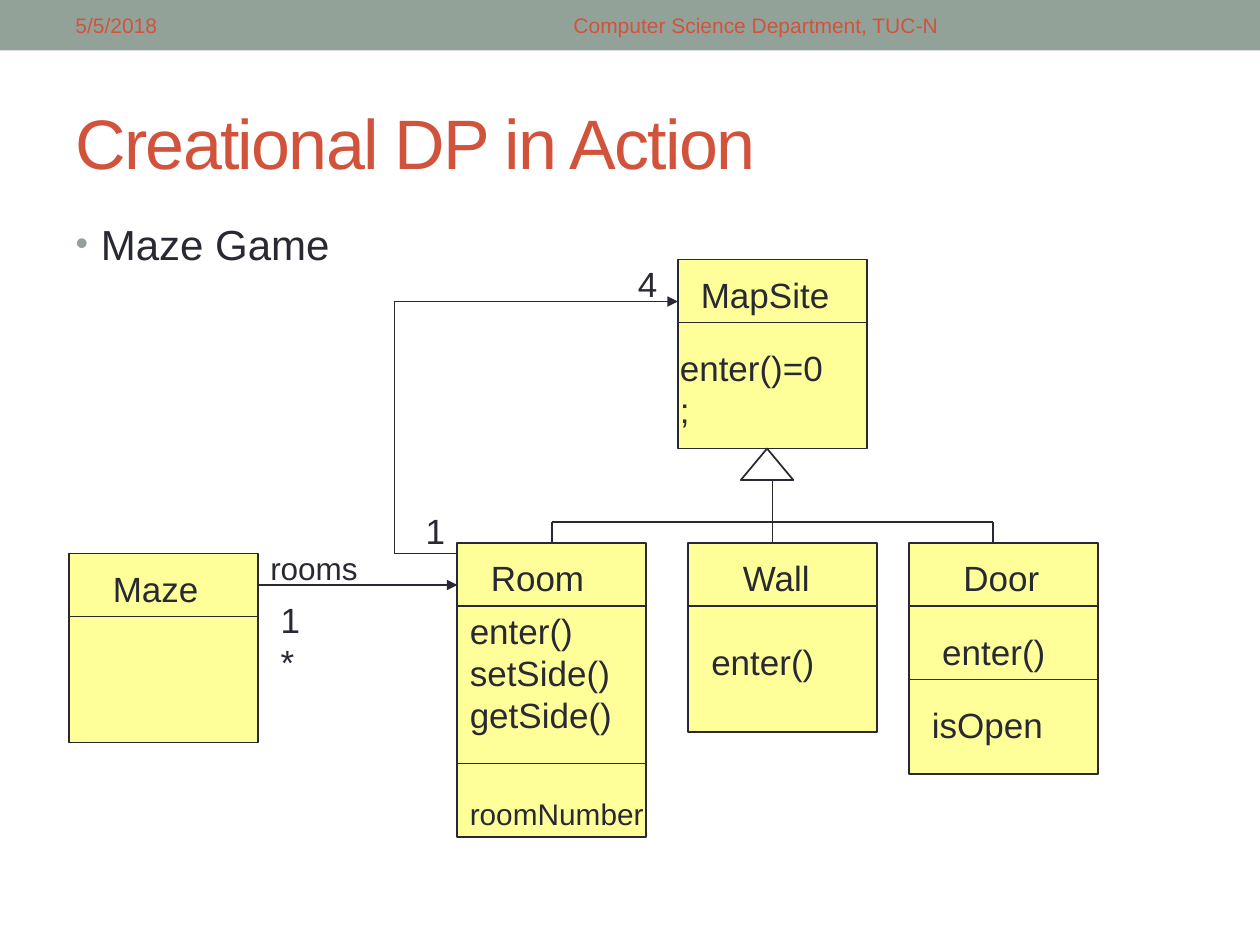
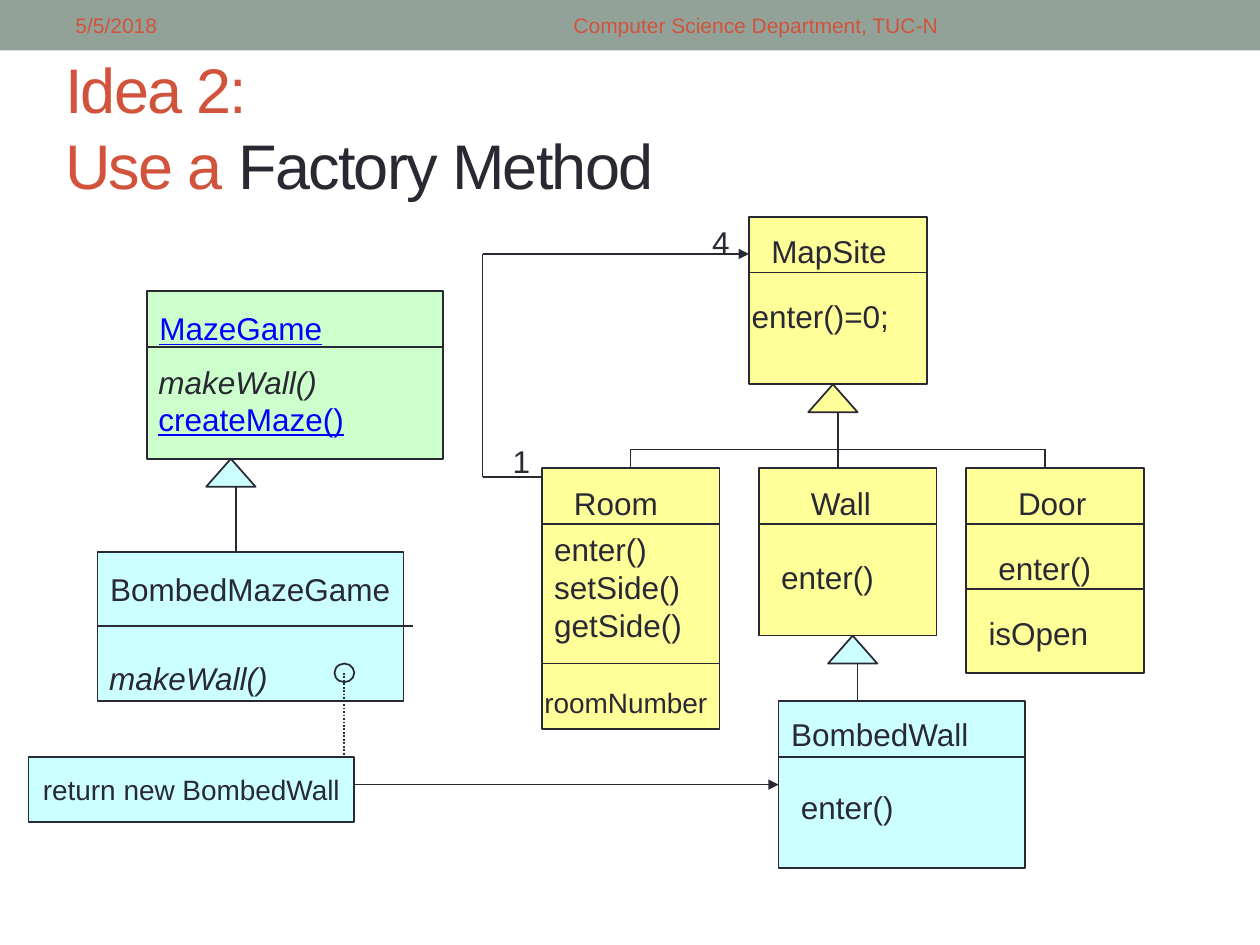
from dataclasses import dataclass

import lxml.etree
import pptx
import pptx.dml.color
import pptx.enum.dml
import pptx.enum.shapes
import pptx.enum.text
import pptx.oxml.ns
import pptx.util

SHAPE = pptx.enum.shapes.MSO_SHAPE
ALIGN = pptx.enum.text.PP_ALIGN
MIDDLE = pptx.enum.text.MSO_ANCHOR.MIDDLE
DOTTED = pptx.enum.dml.MSO_LINE.ROUND_DOT


@dataclass(frozen=True)
class Theme:
    """Colours and type sizes of the deck."""
    font: str = "Arial"
    band: str = "93A299"
    accent: str = "D2533C"
    ink: str = "292934"
    link: str = "0000FF"
    yellow: str = "FFFF99"
    green: str = "CCFFCC"
    cyan: str = "CCFFFF"
    footer: int = 12
    body: int = 24


@dataclass(frozen=True)
class Grid:
    """Columns and rows, in inches, counted from one corner of a region."""
    left: float
    top: float
    col: float
    row: float

    def at(self, col, row):
        """Return the position of a grid point."""
        return (pptx.util.Inches(self.left + col * self.col),
                pptx.util.Inches(self.top + row * self.row))

    def box(self, col, row, cols, rows):
        """Return left, top, width and height of a grid area."""
        return (*self.at(col, row), pptx.util.Inches(cols * self.col),
                pptx.util.Inches(rows * self.row))


THEME = Theme()
PAGE = Grid(0, 0, 10 / 120, 7.5 / 90)


def rgb(value):
    """Return a colour object for a hex value."""
    return pptx.dml.color.RGBColor.from_string(value)


def sub(parent, tag, **attrs):
    """Append an XML child with the given attributes."""
    return lxml.etree.SubElement(parent, pptx.oxml.ns.qn(tag), attrs)


def add_run(p, text, size, color=THEME.ink, italic=None, underline=None):
    """Add one formatted run to a paragraph."""
    r = p.add_run()
    r.text = text
    f = r.font
    f.name, f.size, f.italic, f.underline = THEME.font, pptx.util.Pt(size), italic, underline
    f.color.rgb = rgb(color)
    return r


def place(sp, area):
    """Move a shape to an area."""
    sp.left, sp.top, sp.width, sp.height = area


class Diagram:
    """Draws class diagram parts on the grid of one slide."""

    def __init__(self, slide, grid, size, text_drop):
        self.shapes, self.grid = slide.shapes, grid
        self.size, self.text_drop = size, text_drop

    def shape(self, kind, col, row, cols, rows, fill=None):
        """Add an outlined shape, hollow when no fill is given."""
        sp = self.shapes.add_shape(kind, *self.grid.box(col, row, cols, rows))
        sp.shadow.inherit = False
        if fill:
            sp.fill.solid()
            sp.fill.fore_color.rgb = rgb(fill)
        else:
            sp.fill.background()
        sp.line.color.rgb = rgb(THEME.ink)
        sp.line.width = pptx.util.Pt(1)
        return sp

    def line(self, start, end, arrow=False, dash=None):
        """Add a straight line, with an arrowhead if asked."""
        ln = self.shapes.add_connector(pptx.enum.shapes.MSO_CONNECTOR.STRAIGHT,
                                       *self.grid.at(*start), *self.grid.at(*end))
        ln.line.color.rgb = rgb(THEME.ink)
        ln.line.width = pptx.util.Pt(1)
        if dash:
            ln.line.dash_style = dash
        if arrow:
            sub(ln.line._get_or_add_ln(), "a:tailEnd", type="triangle")
        sub(ln.element.spPr, "a:effectLst")

    def path_line(self, *points):
        """Join points with lines and end in an arrowhead."""
        for start, end in zip(points, points[1:]):
            self.line(start, end, arrow=end == points[-1])

    def text(self, col, row, cols, *lines, size=None, **style):
        """Add a text box; a line is a string or a (string, style) pair."""
        size = size or self.size
        left, top, width, _ = self.grid.box(col, row + self.text_drop, cols, 1)
        height = pptx.util.Inches(0.1 + len(lines) * size * 1.2 / 72)
        tf = self.shapes.add_textbox(left, top, width, height).text_frame
        tf.word_wrap = True
        for i, line in enumerate(lines):
            p = tf.add_paragraph() if i else tf.paragraphs[0]
            words, extra = line if isinstance(line, tuple) else (line, {})
            add_run(p, words, size, **style, **extra)

    def class_box(self, col, row, cols, rows, fill, *dividers):
        """Add a class rectangle with dividers at rows below its top."""
        self.shape(SHAPE.RECTANGLE, col, row, cols, rows, fill)
        for y in dividers:
            self.line((col, row + y), (col + cols, row + y))

    def inherit(self, col, row, stem_rows, fill=None):
        """Add an inheritance triangle and the stem below it."""
        self.shape(SHAPE.ISOSCELES_TRIANGLE, col, row, 5, 3, fill)
        self.line((col + 3, row + 3), (col + 3, row + 3 + stem_rows))


def map_site_classes(d, note, signature_cols, triangle_fill=None):
    """Draw MapSite, its three subclasses and the room association."""
    d.class_box(21, 0, 18, 18, THEME.yellow, 6)
    d.class_box(43, 27, 18, 22, THEME.yellow, 6, 13)
    d.class_box(22, 27, 18, 18, THEME.yellow, 6)
    d.class_box(0, 27, 18, 28, THEME.yellow, 6, 21)
    d.inherit(27, 18, 6, triangle_fill)
    for col in (9, 51):
        d.line((col, 27), (col, 25))
    d.line((9, 25), (51, 25))
    d.path_line((0, 28), (-6, 28), (-6, 4), (21, 4))
    for col, row, cols, words in ((22, 0, 15, "MapSite"), (2, 27, 12, "Room"),
                                  (26, 27, 9, "Wall"), (47, 27, 10, "Door"),
                                  (20, 7, signature_cols, "enter()=0;"),
                                  (23, 35, 12.5, "enter()"), (45, 34, 12.5, "enter()"),
                                  (44, 41, 13, "isOpen"),
                                  (-4.2, 22.5, 4.5, "1"), (16, -1, 4.5, "4")):
        d.text(col, row, cols, words)
    d.text(0, 32, 16.5, "enter()", "setSide()", "getSide()")
    col, row, size = note
    d.text(col, row, 20, "roomNumber", size=size)


def maze_class(d):
    """Draw the Maze class and its association with rooms."""
    d.class_box(-37, 28, 18, 18, THEME.yellow, 6)
    d.text(-34, 28, 11, "Maze")
    d.line((-19, 31), (0, 31), arrow=True)
    d.text(-19, 26.3, 11, "rooms", size=18)
    d.text(-18, 31, 17.5, "1", "*")


def maze_game_classes(d):
    """Draw MazeGame, its bombed subclass and the factory note."""
    link = {"color": THEME.link, "underline": True}
    d.class_box(-40, 8, 30, 18, THEME.green, 6)
    d.text(-40, 8.3, 20, "MazeGame", **link)
    d.text(-40.1, 14, 22, ("makeWall()", {"italic": True}), ("createMaze()", link))
    d.inherit(-34, 26, 7, THEME.cyan)
    d.class_box(-45, 36, 31, 16, THEME.cyan)
    d.line((-45, 44), (-13, 44))
    d.text(-45, 36.3, 32, "BombedMazeGame")
    d.text(-45.1, 45.8, 20, "makeWall()", italic=True)
    d.shape(SHAPE.FLOWCHART_CONNECTOR, -21, 48, 2, 2, THEME.cyan)
    tf = d.shape(SHAPE.RECTANGLE, -52, 58, 33, 7, THEME.cyan).text_frame
    tf.word_wrap, tf.vertical_anchor = False, MIDDLE
    tf.paragraphs[0].alignment = ALIGN.CENTER
    add_run(tf.paragraphs[0], "return new BombedWall", 16)
    d.line((-20, 49), (-20, 58), dash=DOTTED)
    d.line((-19, 61), (24, 61), arrow=True)


def bombed_wall_class(d):
    """Draw BombedWall below Wall."""
    d.inherit(29, 45, 4, THEME.cyan)
    d.class_box(24, 52, 25, 18, THEME.cyan, 6)
    d.text(24, 51.9, 21.5, "BombedWall")
    d.text(25, 59.7, 12.5, "enter()")


def add_band(prs, slide):
    """Put the top band on the slide master."""
    sp = slide.shapes.add_shape(SHAPE.RECTANGLE, *PAGE.box(0, 0, 120, 4.8))
    sp.shadow.inherit = False
    sp.fill.solid()
    sp.fill.fore_color.rgb = rgb(THEME.band)
    sp.line.fill.background()
    prs.slide_master.shapes.element.insert(2, sp.element)


def add_header(slide):
    """Write the date and the department in the band."""
    for col, cols, align, words in (
            (6, 38, ALIGN.LEFT, "5/5/2018"),
            (45, 54, ALIGN.CENTER, "Computer Science Department, TUC-N")):
        tf = slide.shapes.add_textbox(*PAGE.box(col, 0.25, cols, 4.3)).text_frame
        tf.word_wrap, tf.vertical_anchor = True, MIDDLE
        tf.paragraphs[0].alignment = align
        add_run(tf.paragraphs[0], words, THEME.footer, THEME.accent)


def set_title(slide, area, size, *lines):
    """Fill the title; each line is a list of (text, colour) runs."""
    title = slide.shapes.title
    place(title, area)
    tf = title.text_frame
    tf.auto_size, tf.vertical_anchor = pptx.enum.text.MSO_AUTO_SIZE.NONE, MIDDLE
    p = tf.paragraphs[0]
    p.alignment = ALIGN.LEFT
    for i, line in enumerate(lines):
        if i:
            p.add_line_break()
        for words, color in line:
            r = add_run(p, words, size, color)
            r.font._element.set("spc", "-100")


def set_bullet(slide, area, words):
    """Fill the body placeholder with one bullet."""
    body = slide.placeholders[1]
    place(body, area)
    p = body.text_frame.paragraphs[0]
    p.space_before = pptx.util.Pt(0.2 * THEME.body)
    add_run(p, words, THEME.body)
    pPr = p._p.get_or_add_pPr()
    indent = pptx.util.Inches(0.2)
    pPr.set("marL", str(indent))
    pPr.set("indent", str(-indent))
    sub(sub(pPr, "a:buClr"), "a:srgbClr", val=THEME.band)
    sub(pPr, "a:buSzPct", val="85000")
    sub(pPr, "a:buFont", typeface=THEME.font)
    sub(pPr, "a:buChar", char="•")


def maze_slide(prs):
    """Build the slide with the maze class diagram."""
    s = prs.slides.add_slide(prs.slide_layouts[1])
    add_band(prs, s)
    set_title(s, PAGE.box(6, 7, 108, 13), 40, [("Creational DP in Action", THEME.accent)])
    set_bullet(s, PAGE.box(6, 20.2, 108, 64), "Maze Game")
    add_header(s)
    d = Diagram(s, Grid(3.63, 2.06, 1.5 / 18, 1.5 / 18), size=20, text_drop=0.7)
    maze_class(d)
    map_site_classes(d, note=(0, 49.8, 17), signature_cols=16.4)


def factory_slide(prs):
    """Build the slide with the factory method diagram."""
    s = prs.slides.add_slide(prs.slide_layouts[5])
    set_title(s, PAGE.box(5, 9, 110, 6), 36, [("Idea 2:", THEME.accent)],
              [("Use a ", THEME.accent), ("Factory Method", THEME.ink)])
    add_header(s)
    d = Diagram(s, Grid(4.3, 1.72, 1.41 / 18, 1.33 / 18), size=18, text_drop=1)
    map_site_classes(d, note=(-1, 48.7, 16), signature_cols=18, triangle_fill=THEME.yellow)
    maze_game_classes(d)
    bombed_wall_class(d)


def main():
    """Build and save the deck."""
    prs = pptx.Presentation()
    prs.slide_width, prs.slide_height = pptx.util.Inches(10), pptx.util.Inches(7.5)
    maze_slide(prs)
    factory_slide(prs)
    prs.save("out.pptx")


if __name__ == "__main__":
    main()
